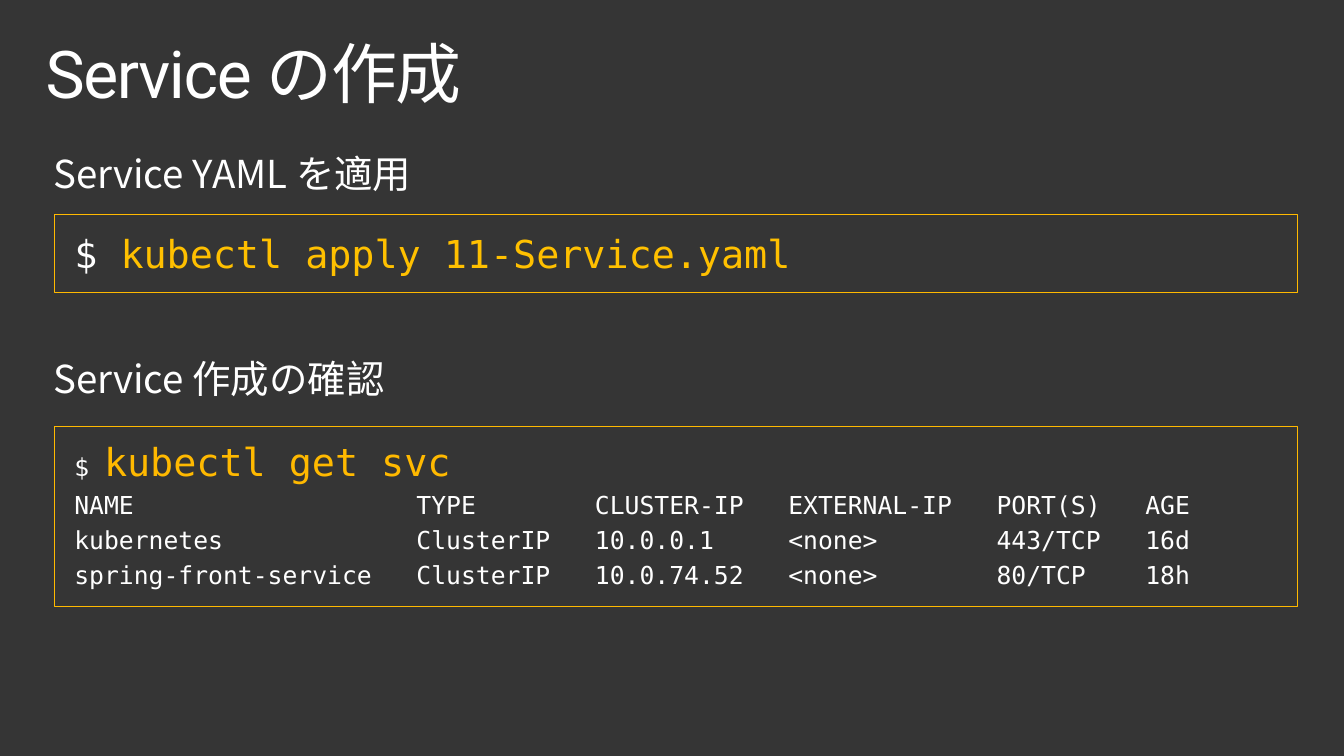
from dataclasses import dataclass
from itertools import accumulate

from lxml.etree import SubElement
from pptx import Presentation
from pptx.dml.color import RGBColor
from pptx.enum.shapes import MSO_SHAPE
from pptx.enum.text import MSO_ANCHOR, MSO_AUTO_SIZE, PP_ALIGN
from pptx.oxml.ns import qn
from pptx.slide import Slide
from pptx.text.text import TextFrame, _Paragraph as Paragraph
from pptx.util import Cm, Pt

COLOURS = {
    "background": "353535",
    "text": "FFFFFF",
    "outline": "FFB900",
    "apply": "FFC000",
    "get": "FFB900",
}
SANS, MONO, JAPANESE = "Roboto", "DejaVu Sans Mono", "Noto Sans CJK JP"
CHARACTER_WIDTH = 0.3823  # cm, one monospaced character at 18 pt
COLUMN_CHARACTERS = (23, 12, 13, 14, 10)
SPACED = {"line_spacing": 0.9, "space_after": Pt(6)}
SERVICES = (
    ("NAME", "TYPE", "CLUSTER-IP", "EXTERNAL-IP", "PORT(S)", "AGE"),
    ("kubernetes", "ClusterIP", "10.0.0.1", "<none>", "443/TCP", "16d"),
    ("spring-front-service", "ClusterIP", "10.0.74.52", "<none>", "80/TCP", "18h"),
)


@dataclass
class Span:
    text: str
    size: int
    font: str = MONO
    colour: str = "text"
    spacing: int = 0


@dataclass
class Line:
    spans: list[Span]
    spacing: dict
    columns: bool = False


@dataclass
class Heading:
    text: str
    top: float


@dataclass
class Console:
    top: float
    height: float
    lines: list[Line]


HEADINGS = [Heading("Service YAML を適用", 3.58), Heading("Service 作成の確認", 8.84)]
CONSOLES = [
    Console(5.51, 2.01, [
        Line([Span("$ ", 28), Span("kubectl apply 11-Service.yaml", 28, colour="apply")], {}),
    ]),
    Console(10.97, 4.62, [
        Line([Span("$ ", 18), Span("kubectl get svc", 28, colour="get")], SPACED),
        *(Line([Span("\t".join(row), 18)], SPACED, columns=True) for row in SERVICES),
    ]),
]


def colour(name: str) -> RGBColor:
    return RGBColor.from_string(COLOURS[name])


def add_span(paragraph: Paragraph, span: Span) -> None:
    run = paragraph.add_run()
    run.text = span.text
    for name, value in {"name": span.font, "size": Pt(span.size)}.items():
        setattr(run.font, name, value)
    run.font.color.rgb = colour(span.colour)
    properties = run.font._element
    if span.spacing:
        properties.set("spc", str(span.spacing))
    SubElement(properties, qn("a:ea")).set("typeface", JAPANESE)


def add_column_stops(paragraph: Paragraph) -> None:
    stops = SubElement(paragraph._p.get_or_add_pPr(), qn("a:tabLst"))
    for characters in accumulate(COLUMN_CHARACTERS):
        stop = SubElement(stops, qn("a:tab"))
        stop.set("pos", str(Cm(characters * CHARACTER_WIDTH)))
        stop.set("algn", "l")


def fill_frame(frame: TextFrame, lines: list[Line], side: float, edge: float,
               auto_size: MSO_AUTO_SIZE = MSO_AUTO_SIZE.SHAPE_TO_FIT_TEXT,
               anchor: MSO_ANCHOR = MSO_ANCHOR.TOP) -> None:
    """Set insets (side and top/bottom, in cm) and write the lines."""
    frame_format = {
        "margin_left": Cm(side), "margin_right": Cm(side),
        "margin_top": Cm(edge), "margin_bottom": Cm(edge),
        "word_wrap": True, "auto_size": auto_size, "vertical_anchor": anchor,
    }
    for name, value in frame_format.items():
        setattr(frame, name, value)
    for index, line in enumerate(lines):
        paragraph = frame.add_paragraph() if index else frame.paragraphs[0]
        if line.columns:
            add_column_stops(paragraph)
        for name, value in {"alignment": PP_ALIGN.LEFT, **line.spacing}.items():
            setattr(paragraph, name, value)
        for span in line.spans:
            add_span(paragraph, span)


def format_title(slide: Slide, text: str) -> None:
    title = slide.shapes.title
    place = {"left": Cm(0.76), "top": Cm(0.81), "width": Cm(33.02), "height": Cm(2.54)}
    for name, value in place.items():
        setattr(title, name, value)
    line = Line([Span(text, 48, SANS, spacing=-100)], {"line_spacing": 0.9})
    fill_frame(title.text_frame, [line], 0.41, 0.25, MSO_AUTO_SIZE.NONE)


def add_heading(slide: Slide, heading: Heading) -> None:
    box = slide.shapes.add_textbox(Cm(0.86), Cm(heading.top), Cm(33.73), Cm(1.91))
    line = Line([Span(heading.text, 28, JAPANESE)], SPACED)
    fill_frame(box.text_frame, [line], 0.51, 0.41)


def add_console(slide: Slide, console: Console) -> None:
    box = slide.shapes.add_shape(
        MSO_SHAPE.RECTANGLE, Cm(1.4), Cm(console.top), Cm(31.95), Cm(console.height))
    box.shadow.inherit = False
    box.fill.background()
    box.line.color.rgb = colour("outline")
    box.line.width = Pt(0.75)
    fill_frame(box.text_frame, console.lines, 0.51, 0.41, anchor=MSO_ANCHOR.MIDDLE)


def main() -> None:
    presentation = Presentation()
    presentation.slide_width, presentation.slide_height = Cm(34.54), Cm(19.43)
    slide = presentation.slides.add_slide(presentation.slide_layouts[5])
    slide.background.fill.solid()
    slide.background.fill.fore_color.rgb = colour("background")
    format_title(slide, "Service の作成")
    for heading, console in zip(HEADINGS, CONSOLES):
        add_console(slide, console)
        add_heading(slide, heading)
    presentation.save("out.pptx")


if __name__ == "__main__":
    main()
